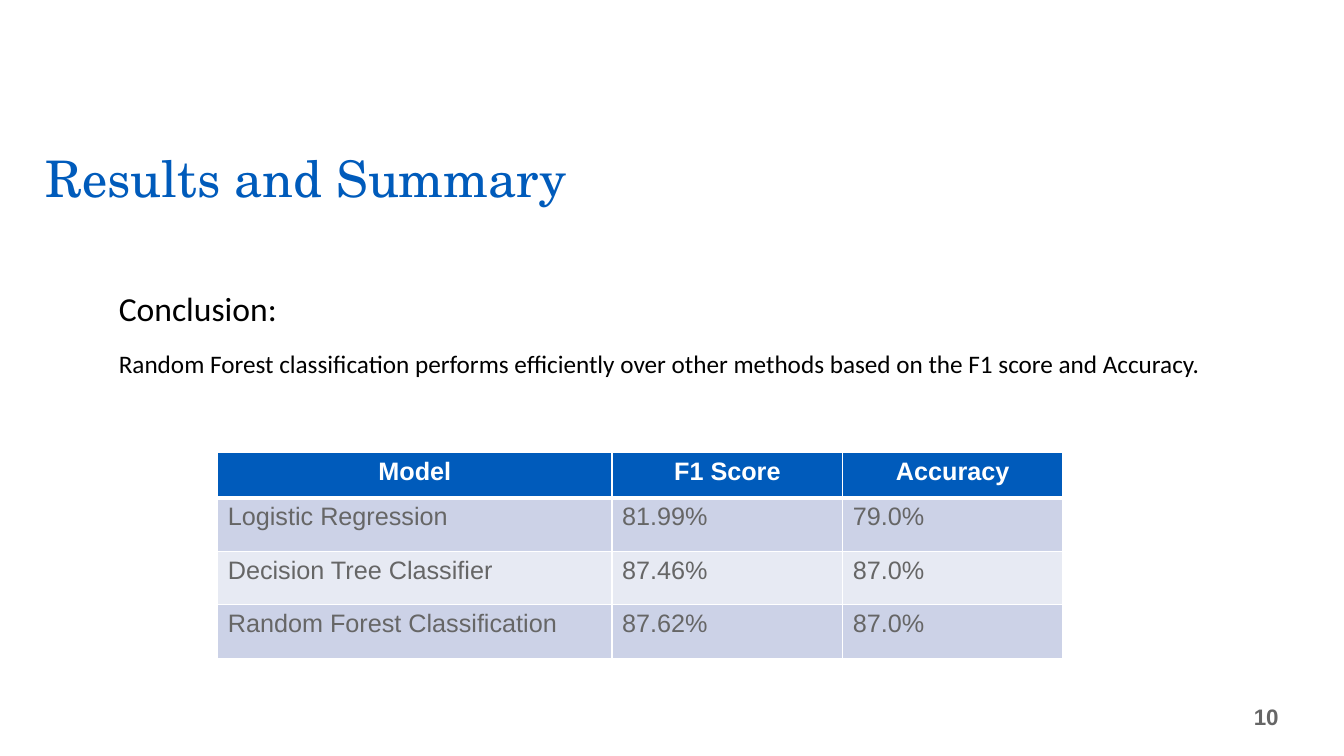
"""Build the results slide: a title, the conclusion and a table of model scores."""
import pptx
import pptx.dml.color
import pptx.enum.text
import pptx.oxml
import pptx.oxml.ns
import pptx.util
from dataclasses import dataclass

Inches, Pt = pptx.util.Inches, pptx.util.Pt
ALIGN, ANCHOR = pptx.enum.text.PP_ALIGN, pptx.enum.text.MSO_ANCHOR

TITLE = "Results and Summary"
CONCLUSION = [
    ("Conclusion:", "heading"),
    ("Random Forest classification performs efficiently over other methods "
     "based on the F1 score and Accuracy.", "body"),
]
SCORES = [
    ("Model", "F1 Score", "Accuracy"),
    ("Logistic Regression", "81.99%", "79.0%"),
    ("Decision Tree Classifier", "87.46%", "87.0%"),
    ("Random Forest Classification", "87.62%", "87.0%"),
]
PAGE_NUMBER = "10"

SLIDE_SIZE = (13.33, 7.5)
TITLE_BOX = (0.35, 1.31, 5.95, 0.81)
CONCLUSION_BOX = (1.08, 2.7, 11.17, 1.05)
NUMBER_BOX = (8.28, 6.91, 4.5, 0.4)
TABLE_ORIGIN = (2.16, 4.49)
COLUMN_WIDTHS = (3.91, 2.29, 2.18)
HEADER_HEIGHT, ROW_HEIGHT = 0.45, 0.53


@dataclass(frozen=True)
class Theme:
    """Colours, type styles and line widths of the slide."""
    blue = "005BBB"
    white = "FFFFFF"
    gray = "666666"
    bands = ("CCD2E7", "E7EAF3")
    line_spacing = 36.4
    border, header_border = 1, 3
    styles = {
        "title": dict(name="TeX Gyre Schola", size=Pt(36), bold=False, color=blue),
        "heading": dict(name="Calibri", size=Pt(24), bold=False, color="000000"),
        "body": dict(name="Calibri", size=Pt(18), bold=False, color="000000"),
        "header": dict(name="Arial", size=Pt(18), bold=True, color=white),
        "cell": dict(name="Arial", size=Pt(18), bold=False, color=gray),
        "number": dict(name="Arial", size=Pt(16), bold=True, color=gray),
    }


THEME = Theme()


def rgb(color):
    """Return the colour object for a hex string."""
    return pptx.dml.color.RGBColor.from_string(color)


def write(paragraph, text, style, **layout):
    """Put styled text in a paragraph."""
    run = paragraph.add_run()
    run.text = text
    for name, value in THEME.styles[style].items():
        if name == "color":
            run.font.color.rgb = rgb(value)
        else:
            setattr(run.font, name, value)
    for name, value in layout.items():
        setattr(paragraph, name, value)


def add_text_frame(slide, box, anchor):
    """Add a wrapping text box and return its text frame."""
    frame = slide.shapes.add_textbox(*map(Inches, box)).text_frame
    frame.word_wrap = True
    frame.vertical_anchor = anchor
    return frame


def draw_borders(cell, **widths):
    """Draw white cell borders, with widths in points by side."""
    properties = cell._tc.get_or_add_tcPr()
    for side in "LRTB":
        width = Pt(widths.get(side, THEME.border))
        properties.append(pptx.oxml.parse_xml(
            f'<a:ln{side} {pptx.oxml.ns.nsdecls("a")} w="{width}"><a:solidFill>'
            f'<a:srgbClr val="{THEME.white}"/></a:solidFill></a:ln{side}>'))


def add_title(slide):
    """Move and format the title placeholder."""
    title = slide.shapes.title
    for name, value in zip(("left", "top", "width", "height"), TITLE_BOX):
        setattr(title, name, Inches(value))
    title.text_frame.vertical_anchor = ANCHOR.BOTTOM
    write(title.text_frame.paragraphs[0], TITLE, "title",
          alignment=ALIGN.LEFT, line_spacing=0.9)


def add_conclusion(slide):
    """Add the conclusion paragraphs."""
    frame = add_text_frame(slide, CONCLUSION_BOX, ANCHOR.TOP)
    for index, (text, style) in enumerate(CONCLUSION):
        paragraph = frame.add_paragraph() if index else frame.paragraphs[0]
        write(paragraph, text, style, line_spacing=Pt(THEME.line_spacing))


def add_scores(slide):
    """Add the banded table of model scores."""
    heights = [HEADER_HEIGHT] + [ROW_HEIGHT] * (len(SCORES) - 1)
    size = (sum(COLUMN_WIDTHS), sum(heights))
    table = slide.shapes.add_table(
        len(SCORES), len(COLUMN_WIDTHS), *map(Inches, TABLE_ORIGIN + size)).table
    for column, width in zip(table.columns, COLUMN_WIDTHS):
        column.width = Inches(width)
    for row_index, (row, values) in enumerate(zip(table.rows, SCORES)):
        row.height = Inches(heights[row_index])
        is_header = row_index == 0
        fill = THEME.blue if is_header else THEME.bands[(row_index - 1) % 2]
        thick = {0: {"B": THEME.header_border}, 1: {"T": THEME.header_border}}
        for cell, value in zip(row.cells, values):
            draw_borders(cell, **thick.get(row_index, {}))
            cell.fill.solid()
            cell.fill.fore_color.rgb = rgb(fill)
            write(cell.text_frame.paragraphs[0], value,
                  "header" if is_header else "cell",
                  alignment=ALIGN.CENTER if is_header else ALIGN.LEFT)


def main():
    """Build and save the presentation."""
    presentation = pptx.Presentation()
    presentation.slide_width, presentation.slide_height = map(Inches, SLIDE_SIZE)
    slide = presentation.slides.add_slide(presentation.slide_layouts[5])
    add_title(slide)
    number = add_text_frame(slide, NUMBER_BOX, ANCHOR.MIDDLE)
    write(number.paragraphs[0], PAGE_NUMBER, "number", alignment=ALIGN.RIGHT)
    add_scores(slide)
    add_conclusion(slide)
    presentation.save("out.pptx")


if __name__ == "__main__":
    main()
